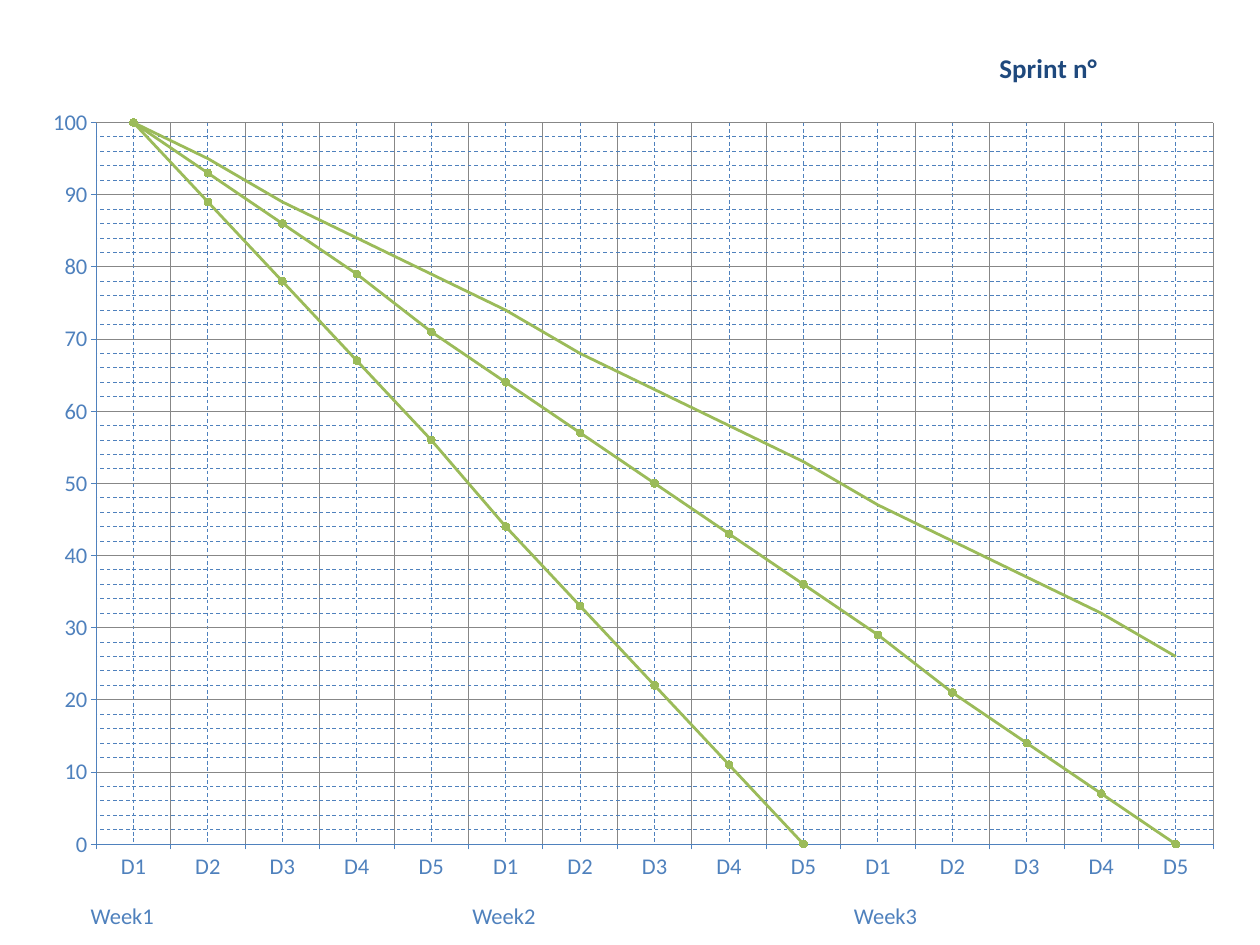
import copy

import lxml.etree
import pptx
import pptx.chart.data
import pptx.dml.color
import pptx.enum.chart
import pptx.enum.dml
import pptx.oxml.ns
import pptx.util

Cm = pptx.util.Cm
Pt = pptx.util.Pt
BLUE = pptx.dml.color.RGBColor(0x4F, 0x81, 0xBD)
NAVY = pptx.dml.color.RGBColor(0x1F, 0x49, 0x7D)
GREEN = pptx.dml.color.RGBColor(0x9B, 0xBB, 0x59)
GREY = pptx.dml.color.RGBColor(0x87, 0x87, 0x87)
AXIS_FONT = {"name": "Calibri", "size": Pt(18), "bold": False}
TITLE_FONT = {"name": "Calibri", "size": Pt(21.6), "bold": True}
AXIS_FORMAT = {
    "has_major_gridlines": True,
    "has_minor_gridlines": True,
    "major_tick_mark": pptx.enum.chart.XL_TICK_MARK.OUTSIDE,
    "minor_tick_mark": pptx.enum.chart.XL_TICK_MARK.NONE,
}
VALUE_SCALE = {
    "minimum_scale": 0,
    "maximum_scale": 100,
    "major_unit": 10,
    "minor_unit": 2,
}


def apply_format(target, values):
    for name, value in values.items():
        setattr(target, name, value)


def add_layout(parent, position, values):
    for old_layout in parent.findall(pptx.oxml.ns.qn("c:layout")):
        parent.remove(old_layout)
    layout = lxml.etree.Element(pptx.oxml.ns.qn("c:layout"))
    manual = lxml.etree.SubElement(layout, pptx.oxml.ns.qn("c:manualLayout"))
    for name, value in values.items():
        lxml.etree.SubElement(manual, pptx.oxml.ns.qn("c:" + name)).set("val", str(value))
    parent.insert(position, layout)


presentation = pptx.Presentation()
presentation.slide_width = Cm(35.56)
presentation.slide_height = Cm(26.67)
slide = presentation.slides.add_slide(presentation.slide_layouts[6])

chart_data = pptx.chart.data.CategoryChartData(number_format="0")
chart_data.categories = [f"D{day}" for week in range(3) for day in range(1, 6)]
chart_data.add_series("Series 1", [100, 93, 86, 79, 71, 64, 57, 50, 43, 36, 29, 21, 14, 7, 0])
chart_data.add_series("Series 2", [100, 89, 78, 67, 56, 44, 33, 22, 11, 0] + [None] * 5)
chart_data.add_series("Series 3", [100, 95, 89, 84, 79, 74, 68, 63, 58, 53, 47, 42, 37, 32, 26])
chart = slide.shapes.add_chart(
    pptx.enum.chart.XL_CHART_TYPE.LINE_MARKERS,
    Cm(0.66), Cm(0.76), Cm(34.26), Cm(24.54), chart_data,
).chart
chart.has_legend = False
apply_format(chart.font, AXIS_FONT)

chart.has_title = True
title = chart.chart_title
title.include_in_layout = False
title.text_frame.text = "Sprint n°"
title_font = title.text_frame.paragraphs[0].runs[0].font
apply_format(title_font, TITLE_FONT)
title_font.color.rgb = NAVY
add_layout(title._element, 1, {"xMode": "edge", "yMode": "edge", "x": 0.8, "y": 0.02})
add_layout(chart._chartSpace.chart.plotArea, 0, {
    "layoutTarget": "inner", "xMode": "edge", "yMode": "edge",
    "x": 0.06, "y": 0.11, "w": 0.92, "h": 0.83,
})

apply_format(chart.value_axis, VALUE_SCALE)
for axis in (chart.category_axis, chart.value_axis):
    apply_format(axis, AXIS_FORMAT)
    apply_format(axis.tick_labels.font, AXIS_FONT)
    axis.tick_labels.font.color.rgb = BLUE
    grid_line = axis.major_gridlines.format.line
    for line in (axis.format.line, grid_line):
        line.color.rgb = BLUE
        line.width = Pt(0.75)
    grid_line.dash_style = pptx.enum.dml.MSO_LINE.DASH
    major_grid = axis._element.find(pptx.oxml.ns.qn("c:majorGridlines"))
    minor_grid = axis._element.find(pptx.oxml.ns.qn("c:minorGridlines"))
    minor_grid.append(copy.deepcopy(major_grid[0]))
    grid_line.color.rgb = GREY
    grid_line.dash_style = pptx.enum.dml.MSO_LINE.SOLID

chart.plots[0].vary_by_categories = False
for series in chart.plots[0].series:
    series.smooth = False
    series.format.line.color.rgb = GREEN
    series.format.line.width = Pt(2.25)
    marker = series.marker
    if series.name == "Series 3":
        marker.style = pptx.enum.chart.XL_MARKER_STYLE.NONE
    else:
        apply_format(marker, {"style": pptx.enum.chart.XL_MARKER_STYLE.CIRCLE, "size": 6})
        marker.format.fill.solid()
        marker.format.fill.fore_color.rgb = GREEN
        marker.format.line.color.rgb = GREEN

for week in range(3):
    shape = slide.shapes.add_textbox(Cm(2.31 + 10.77 * week), Cm(25.32), Cm(2.41), Cm(1.02))
    shape.text_frame.word_wrap = True
    paragraph = shape.text_frame.paragraphs[0]
    paragraph.text = f"Week{week + 1}"
    apply_format(paragraph.font, AXIS_FONT)
    paragraph.font.color.rgb = BLUE

presentation.save("out.pptx")
